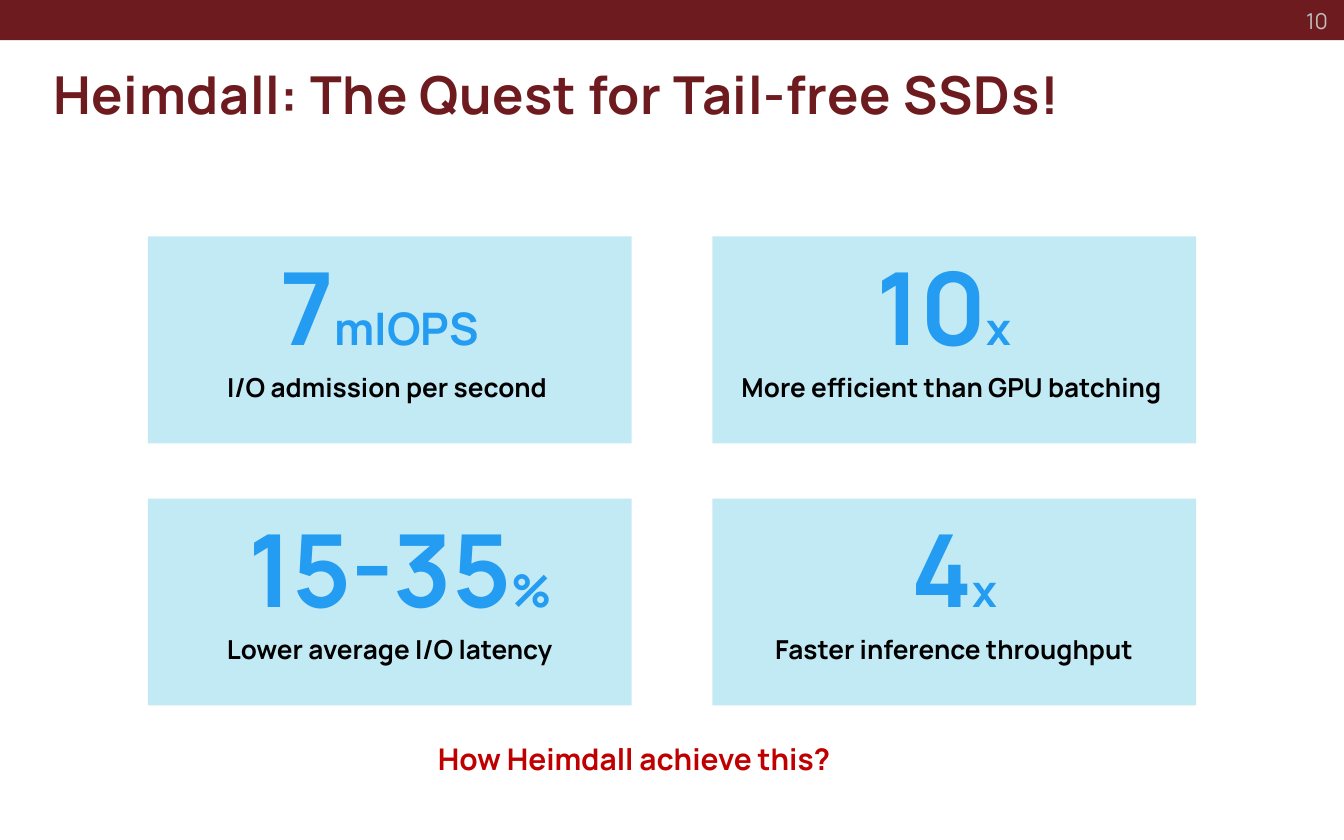
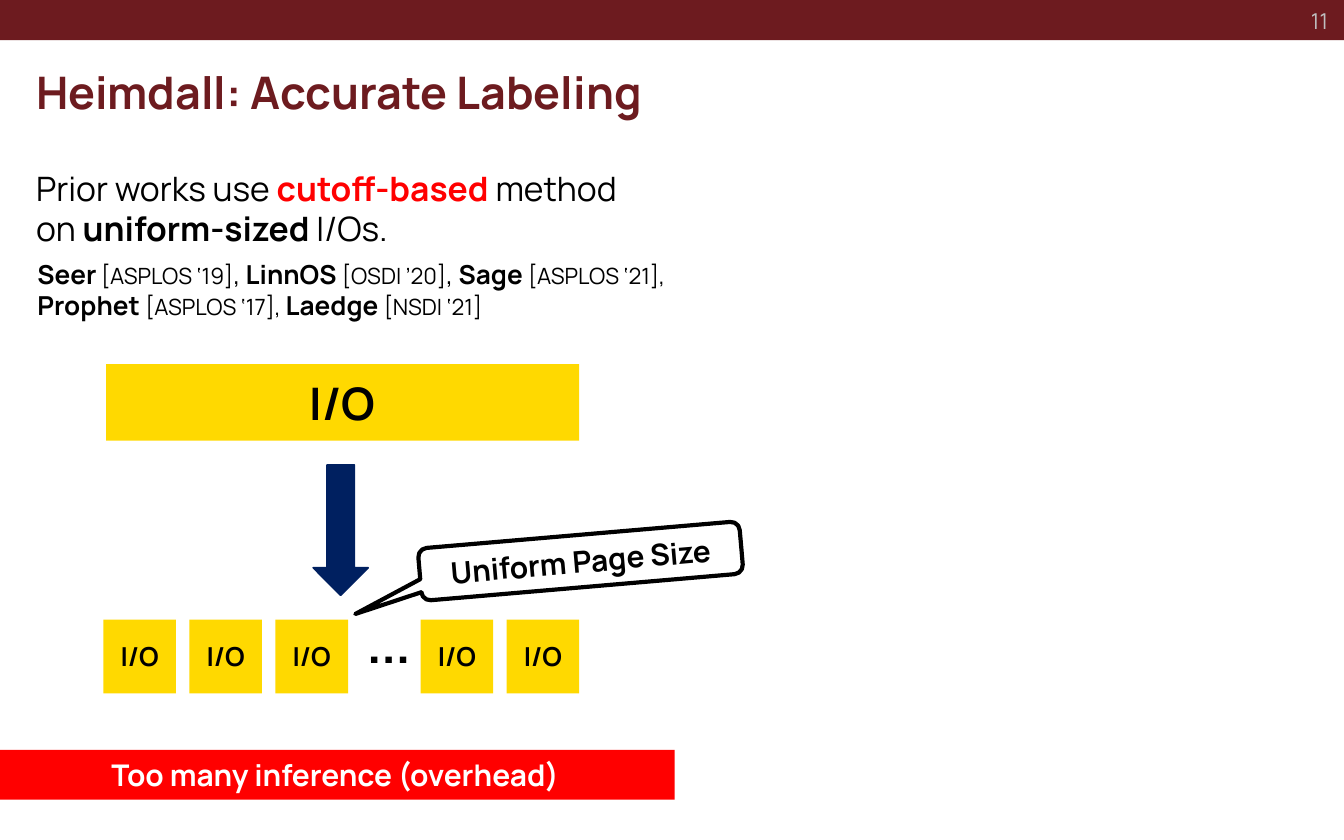
"""Build two Heimdall slides: headline results and accurate labeling."""
from pptx import Presentation
from pptx.dml.color import RGBColor
from pptx.enum.shapes import MSO_SHAPE
from pptx.enum.text import MSO_ANCHOR, PP_ALIGN
from pptx.util import Inches, Pt

RECT = MSO_SHAPE.RECTANGLE
ARROW = MSO_SHAPE.DOWN_ARROW
CALLOUT = MSO_SHAPE.ROUNDED_RECTANGULAR_CALLOUT
TOP, MIDDLE = MSO_ANCHOR.TOP, MSO_ANCHOR.MIDDLE
LEFT, CENTER, RIGHT = PP_ALIGN.LEFT, PP_ALIGN.CENTER, PP_ALIGN.RIGHT
FONT = "Manrope"
COLORS = {
    "maroon": "6D1B1F", "gray": "BFBFBF", "pale": "C2EAF4", "blue": "239CF1",
    "crimson": "C00000", "red": "FF0000", "yellow": "FFD900", "navy": "002060",
    "black": "000000", "white": "FFFFFF",
}


def color(name):
    """Return the named colour."""
    return RGBColor.from_string(COLORS[name])


def style(font, size=None, ink=None, bold=None):
    """Set the given font traits and leave the others inherited."""
    if size is not None:
        font.size = Pt(size)
    if ink is not None:
        font.color.rgb = color(ink)
    if bold is not None:
        font.bold = bold


class Deck:
    """Hold the presentation, its style and the current slide."""

    def __init__(self):
        """Start an empty deck."""
        self.prs = Presentation()
        self.prs.slide_width, self.prs.slide_height = Inches(10), Inches(6.25)
        self.slide = None

    def page(self, number):
        """Add a slide with the top band and its number."""
        self.slide = self.prs.slides.add_slide(self.prs.slide_layouts[6])
        self.shape((0, 0, 10, 0.3), "maroon")
        self.text((9.1, -0.01, 0.88, 0.33), [[str(number)]], 11.7, "gray",
                  align=RIGHT, anchor=MIDDLE)

    def title(self, box, words, size, gap=0):
        """Add the slide title, with letter spacing in hundredths of a point."""
        label = self.text(box, [[words]], size, "maroon", True, anchor=MIDDLE)
        if gap:
            run = label.text_frame.paragraphs[0].runs[0]
            run.font._element.set("spc", str(gap))

    def fill(self, frame, paras, size, ink, bold=False, align=LEFT,
             anchor=TOP, after=0):
        """Fill a frame; a run is plain text or text with its own traits."""
        frame.word_wrap = True
        frame.vertical_anchor = anchor
        for i, runs in enumerate(paras):
            para = frame.add_paragraph() if i else frame.paragraphs[0]
            para.alignment = align
            para.space_after = Pt(after)
            para.font.name = FONT
            style(para.font, size, ink, bold)
            for item in runs:
                words, traits = (item, {}) if isinstance(item, str) else item
                run = para.add_run()
                run.text = words
                style(run.font, **traits)

    def text(self, box, paras, size, ink, bold=False, home=None, **opts):
        """Add a text box to the slide or to a group."""
        home = home or self.slide
        label = home.shapes.add_textbox(*map(Inches, box))
        self.fill(label.text_frame, paras, size, ink, bold, **opts)
        return label

    def shape(self, box, fill, kind=RECT, line=None, width=1, home=None):
        """Add a flat preset shape to the slide or to a group."""
        home = home or self.slide
        item = home.shapes.add_shape(kind, *map(Inches, box))
        item.shadow.inherit = False
        item.fill.solid()
        item.fill.fore_color.rgb = color(fill)
        if line:
            item.line.color.rgb = color(line)
            item.line.width = Pt(width)
        else:
            item.line.fill.background()
        return item

    def block(self, box, fill, words, size, ink="black", **opts):
        """Add a shape with one centred bold label."""
        item = self.shape(box, fill, **opts)
        self.fill(item.text_frame, [[words]], size, ink, True, CENTER, MIDDLE)
        return item

    def card(self, left, top, figure, note):
        """Add a grouped card with a big figure over a note."""
        group = self.slide.shapes.add_group_shape()
        self.shape((left, top, 3.6, 1.54), "pale", home=group)
        small = {"size": 14, "ink": "black"}
        self.text((left, top + 0.01, 3.6, 1.29), [figure, [(note, small)]],
                  54, "blue", True, home=group, align=CENTER, after=3)


def results(deck):
    """Draw the slide of headline results."""
    deck.page(10)
    deck.title((0.3, 0.31, 9.43, 0.77),
               "Heimdall: The Quest for Tail-free SSDs!", 28, 40)
    unit = {"size": 24}
    cards = [
        (["7", ("mIOPS", unit), " "], "I/O admission per second "),
        (["10", ("x", unit), " "], "More efficient than GPU batching "),
        ([" 15-35", ("%", unit)], "Lower average I/O latency"),
        (["4", ("x", unit)], "Faster inference throughput"),
    ]
    for i, (figure, note) in enumerate(cards):
        row, col = divmod(i, 2)
        deck.card(1.1 + 4.2 * col, 1.76 + 1.95 * row, figure, note)
    deck.text((3.16, 5.46, 3.18, 0.37), [["How Heimdall achieve this?"]],
              16, "crimson", True)


def labeling(deck):
    """Draw the slide on accurate labeling."""
    deck.page(11)
    deck.title((0.17, 0.43, 4.8, 0.5), "Heimdall: Accurate Labeling", 24)
    bold = {"bold": True}
    venue = {"size": 12}
    deck.text((0.17, 1.2, 4.8, 0.71), [[
        "Prior works use ", ("cutoff-based ", {"ink": "red", "bold": True}),
        "method on ", ("uniform-sized", bold), " I/Os."]], 18, "black")
    deck.text((0.18, 1.87, 4.87, 0.57), [
        [("Seer", bold), (" [ASPLOS ‘19]", venue), ", ",
         ("LinnOS ", bold), ("[OSDI ’20]", venue), ", ",
         ("Sage ", bold), ("[ASPLOS ‘21],", venue)],
        [("Prophet ", bold), ("[ASPLOS ‘17], ", venue),
         ("Laedge ", bold), ("[NSDI ‘21]", venue)],
    ], 14, "black")

    deck.block((0.79, 2.71, 3.52, 0.57), "yellow", "I/O", 24)
    deck.shape((2.33, 3.46, 0.41, 0.97), "navy", ARROW, "navy", 0.85)
    for start, count in ((0.77, 3), (3.13, 2)):
        for i in range(count):
            deck.block((start + 0.64 * i, 4.61, 0.54, 0.55), "yellow", "I/O", 14)
    deck.text((2.62, 4.33, 0.46, 0.77), [["…"]], 40, "black")

    bubble = deck.block((3.12, 3.98, 2.4, 0.39), "white", "Uniform Page Size",
                        16, kind=CALLOUT, line="black", width=2.25)
    bubble.rotation = -4.9
    for i, value in enumerate((-0.71, 0.64, 0.17)):
        bubble.adjustments[i] = value
    deck.block((-0.03, 5.58, 5.05, 0.37), "red",
               "Too many inference (overhead)", 16, "white")


def main():
    """Build and save the deck."""
    deck = Deck()
    results(deck)
    labeling(deck)
    deck.prs.save("out.pptx")


if __name__ == "__main__":
    main()
